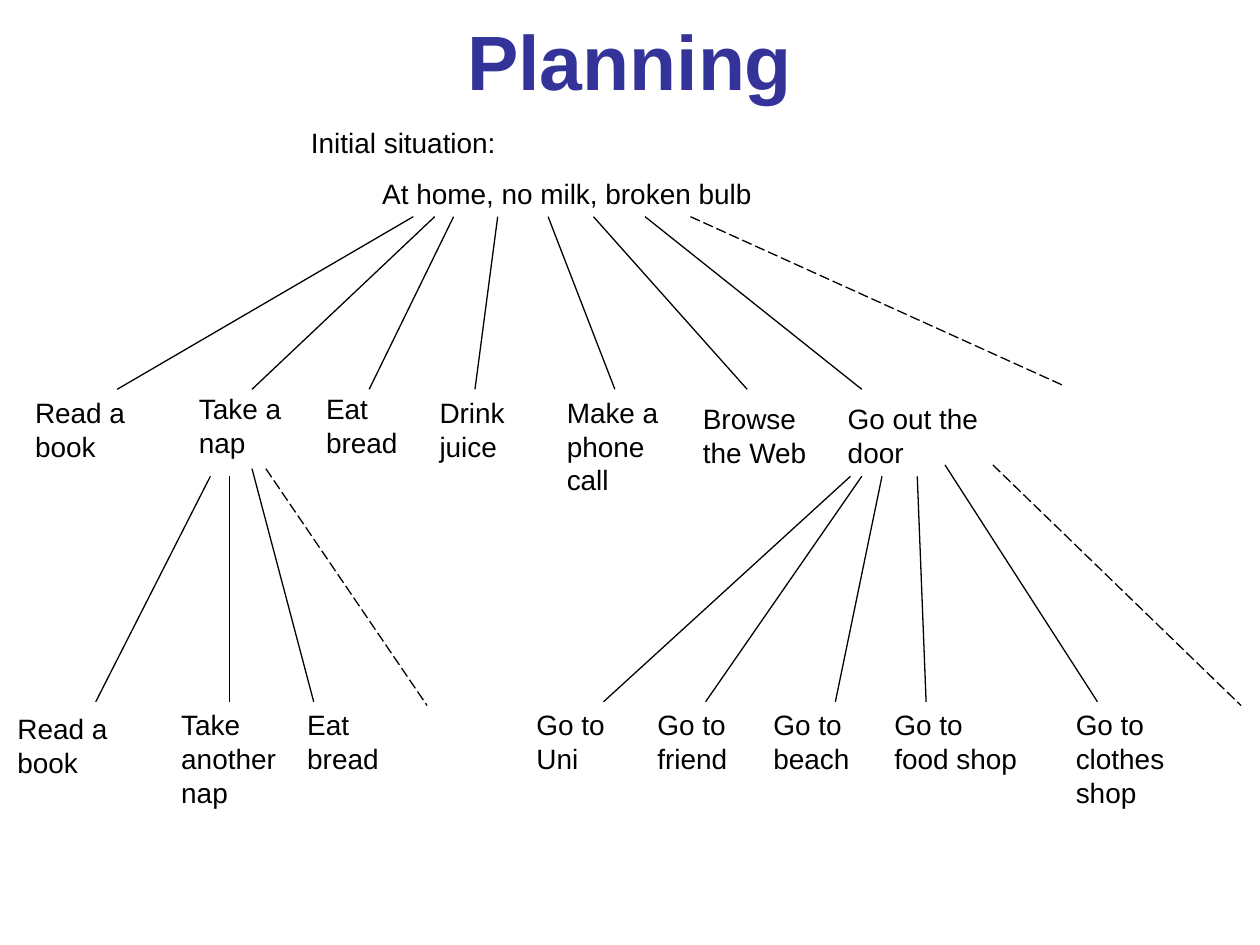
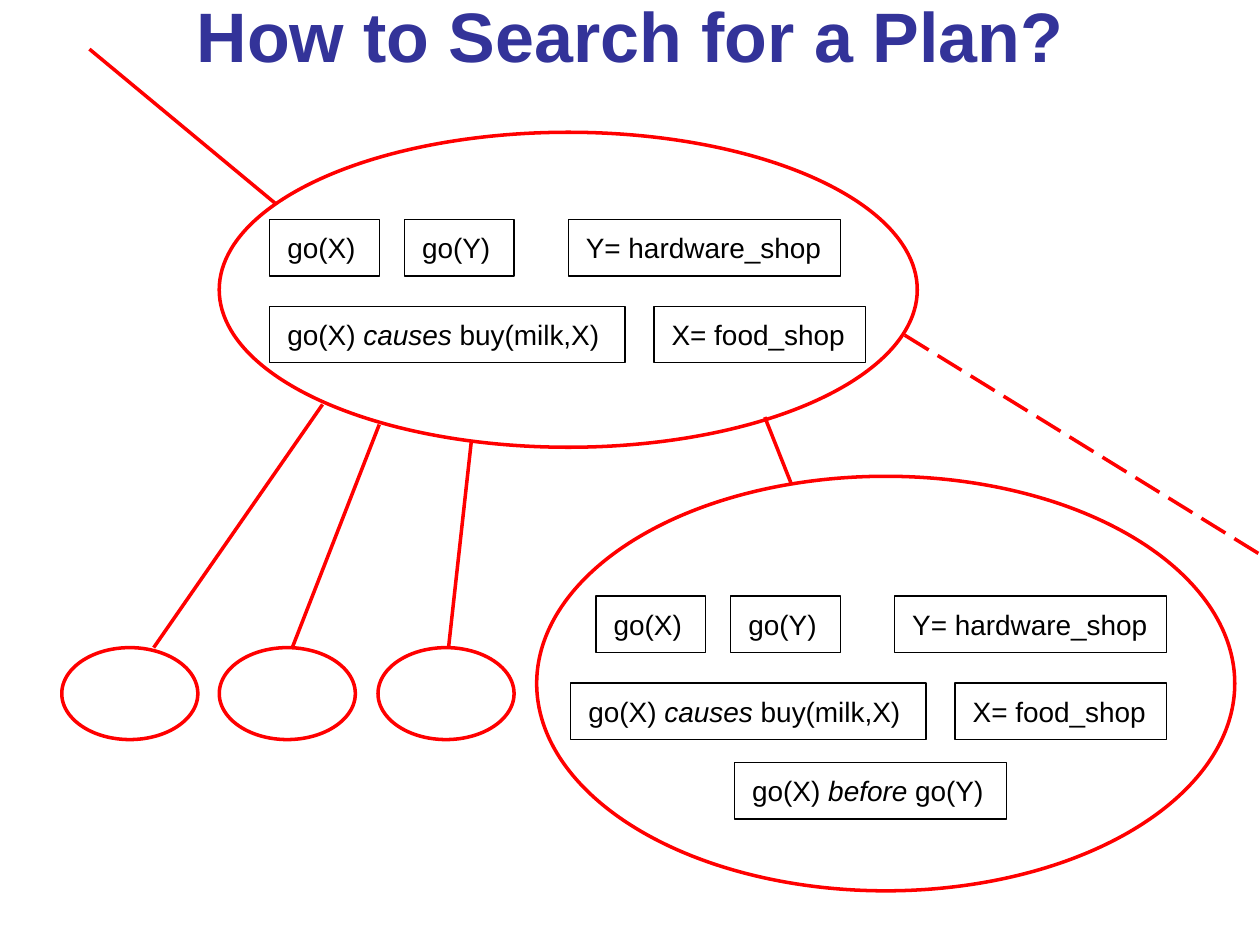
from lxml import etree
from pptx import Presentation
from pptx import util as u
from pptx.dml.color import RGBColor
from pptx.enum import dml, shapes, text
from pptx.oxml.ns import qn

SCALE = 9144
FONT = "Arial"
COLORS = {"title": "333399", "ink": "000000", "node": "FF0000"}
TITLE_ONLY = 5


def px(*lengths):
    return [u.Emu(length * SCALE) for length in lengths]


def color(name):
    return RGBColor.from_string(COLORS[name])


def write(para, content, size=16, ink="ink", bold=False, align=text.PP_ALIGN.LEFT, before=0):
    para.alignment = align
    para.space_before = u.Pt(before)
    for index, part in enumerate(content.split("*")):
        span = para.add_run()
        span.text = part
        span.font.name = FONT
        span.font.size = u.Pt(size)
        span.font.bold = bold
        span.font.italic = index % 2 == 1
        span.font.color.rgb = color(ink)


class Sketch:
    def __init__(self, deck):
        self.deck = deck
        self.page = None

    def start(self, title, height, size):
        self.page = self.deck.slides.add_slide(self.deck.slide_layouts[TITLE_ONLY])
        box = self.page.shapes.title
        box.left, box.top, box.width, box.height = px(0, 0, 1000, height)
        frame = self.frame(box, 10, 5)
        frame.vertical_anchor = text.MSO_ANCHOR.MIDDLE
        write(frame.paragraphs[0], title, size=size, ink="title", bold=True,
              align=text.PP_ALIGN.CENTER)

    def frame(self, box, side, edge):
        frame = box.text_frame
        frame.word_wrap = True
        frame.auto_size = text.MSO_AUTO_SIZE.NONE
        frame.margin_left, frame.margin_right = px(side, 10)
        frame.margin_top, frame.margin_bottom = px(edge, edge)
        return frame

    def label(self, content, left, top, width=96, height=64):
        box = self.page.shapes.add_textbox(*px(left, top, width, height))
        frame = self.frame(box, 10, 5)
        write(frame.paragraphs[0], content)
        return frame

    def outline(self, kind, place, ink, weight):
        shape = self.page.shapes.add_shape(kind, *px(*place))
        shape.shadow.inherit = False
        shape.fill.background()
        shape.line.color.rgb = color(ink)
        shape.line.width = u.Pt(weight)
        return shape

    def node(self, left, top, width, height):
        self.outline(shapes.MSO_SHAPE.OVAL, (left, top, width, height), "node", 2)

    def step(self, content, left, top, width):
        box = self.outline(shapes.MSO_SHAPE.RECTANGLE, (left, top, width, 45), "ink", 0.75)
        frame = self.frame(box, 14, 9)
        frame.vertical_anchor = text.MSO_ANCHOR.MIDDLE
        write(frame.paragraphs[0], content)

    def plan(self, first_left, second_left, top):
        self.step("go(X)", first_left, top, 87)
        self.step("go(Y)", first_left + 107, top, 87)
        self.step("Y= hardware_shop", first_left + 237, top, 216)
        self.step("go(X) *causes* buy(milk,X)", second_left, top + 69, 282)
        self.step("X= food_shop", second_left + 305, top + 69, 168)

    def branch(self, x1, y1, x2, y2, ink="ink", weight=0.75, dashed=False):
        line = self.page.shapes.add_connector(
            shapes.MSO_CONNECTOR.STRAIGHT, *px(x1, y1, x2, y2))
        line.line.color.rgb = color(ink)
        line.line.width = u.Pt(weight)
        if dashed:
            line.line.dash_style = dml.MSO_LINE.LONG_DASH
        etree.SubElement(line._element.spPr, qn("a:effectLst"))

    def fan(self, top, bottom, ends):
        for start, end in ends:
            self.branch(start, top, end, bottom)


def planning(sketch):
    sketch.start("Planning", 95, 44)
    situation = sketch.label("Initial situation:", 237, 95, 426, 77)
    write(situation.add_paragraph(), "At home, no milk, broken bulb",
          align=text.PP_ALIGN.CENTER, before=10)

    sketch.fan(172, 309, [(328, 93), (345, 200), (360, 293), (395, 377),
                          (435, 488), (471, 593), (512, 684)])
    sketch.fan(378, 557, [(167, 76), (182, 182), (675, 479), (684, 560),
                          (700, 663), (728, 735)])
    sketch.branch(200, 372, 249, 557)
    sketch.branch(750, 369, 871, 557)
    for ends in [(548, 172, 844, 306), (788, 369, 985, 560), (211, 372, 339, 560)]:
        sketch.branch(*ends, dashed=True)

    for action in [
        ("Read a book", 18, 309),
        ("Take a nap", 148, 306),
        ("Eat bread", 249, 306),
        ("Drink juice", 339, 309),
        ("Make a phone call", 440, 309, 120, 90),
        ("Browse the Web", 548, 314, 115),
        ("Go out the door", 663, 314, 124),
        ("Read a book", 4, 560),
        ("Take another nap", 134, 557, 96, 90),
        ("Eat bread", 234, 557),
        ("Go to Uni", 416, 557),
        ("Go to friend", 512, 557),
        ("Go to beach", 604, 557),
        ("Go to food shop", 700, 557, 123),
        ("Go to clothes shop", 844, 557, 96, 90),
    ]:
        sketch.label(*action)


def plan_search(sketch):
    sketch.start("How to Search for a Plan?", 54, 40)
    sketch.plan(214, 214, 174)
    sketch.plan(473, 453, 473)
    sketch.step("go(X) *before* go(Y)", 583, 605, 216)

    sketch.node(174, 105, 554, 250)
    sketch.node(426, 378, 554, 329)
    for left in (49, 174, 300):
        sketch.node(left, 514, 108, 73)

    for ends in [(218, 161, 71, 39), (256, 321, 122, 514), (301, 337, 232, 514),
                 (374, 351, 356, 514), (607, 331, 628, 384)]:
        sketch.branch(*ends, ink="node", weight=2)
    sketch.branch(718, 266, 1000, 440, ink="node", weight=2, dashed=True)


def main():
    deck = Presentation()
    deck.slide_width, deck.slide_height = px(1000, 750)
    sketch = Sketch(deck)
    planning(sketch)
    plan_search(sketch)
    deck.save("out.pptx")


if __name__ == "__main__":
    main()
